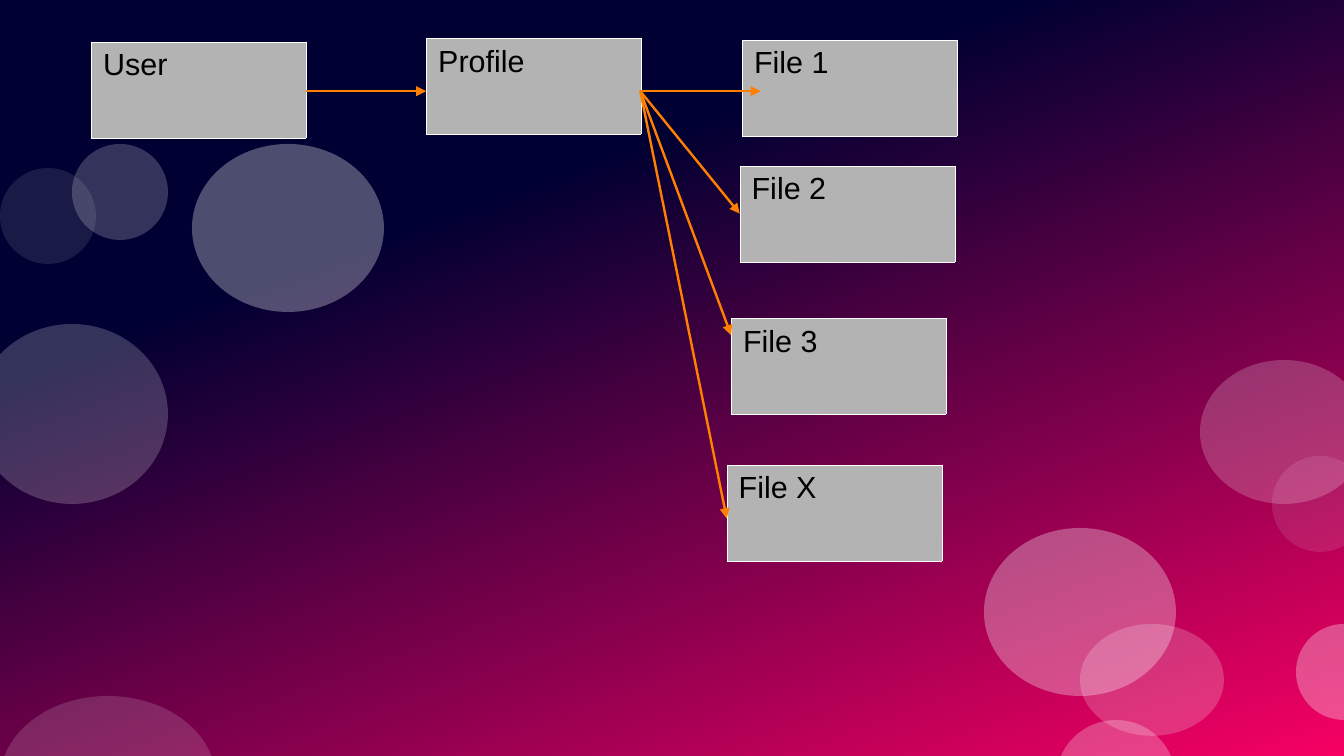
import dataclasses
import typing

import pptx
import pptx.dml.color
import pptx.enum.shapes
import pptx.oxml.ns
import pptx.shapes.autoshape
import pptx.slide
import pptx.util
from lxml import etree

Cm = pptx.util.Cm
Pt = pptx.util.Pt
RGBColor = pptx.dml.color.RGBColor
qn = pptx.oxml.ns.qn
Form = pptx.enum.shapes.MSO_SHAPE

NAVY = RGBColor(0x00, 0x00, 0x32)
PINK = RGBColor(0xF6, 0x00, 0x63)
WHITE = RGBColor(0xFF, 0xFF, 0xFF)
GREY = RGBColor(0xB3, 0xB3, 0xB3)
BLACK = RGBColor(0x00, 0x00, 0x00)
ORANGE = RGBColor(0xFF, 0x80, 0x00)

WIDE, HIGH = 28, 15.75
BOX_W, BOX_H = 4.48, 2
LINE_Y = 1.9
FONT = {"name": "Arial", "size": Pt(18), "bold": False}
PLAIN = {"first_row": False, "horz_banding": False}
INSETS = {
    "margin_left": Cm(0.25),
    "margin_right": Cm(0.25),
    "margin_top": Cm(0.13),
    "margin_bottom": Cm(0.13),
}


@dataclasses.dataclass(frozen=True)
class Bubble:
    left: float
    top: float
    width: float
    height: float
    alpha: int


@dataclasses.dataclass(frozen=True)
class Box:
    text: str
    left: float
    top: float


@dataclasses.dataclass(frozen=True)
class Arrow:
    left: float
    right: float
    end: float


BUBBLES = [
    Bubble(4, 3, 4, 3.5, 30),
    Bubble(20.5, 11, 4, 3.5, 30),
    Bubble(25, 7.5, 3.5, 3, 20),
    Bubble(-0.5, 6.75, 4, 3.75, 20),
    Bubble(1.5, 3, 2, 2, 20),
    Bubble(0, 3.5, 2, 2, 10),
    Bubble(0, 14.5, 4.5, 3.5, 15),
    Bubble(27, 13, 2, 2, 30),
    Bubble(26.5, 9.5, 2, 2, 10),
    Bubble(22.5, 13, 3, 2.33, 20),
    Bubble(22, 15, 2.5, 2.5, 25),
]

BOXES = [
    Box("Profile", 8.88, 0.8),
    Box("User", 1.9, 0.87),
    Box("File 1", 15.46, 0.83),
    Box("File X", 15.14, 9.68),
    Box("File 3", 15.23, 6.63),
    Box("File 2", 15.41, 3.46),
]

FORK = 13.34
ARROWS = [
    Arrow(6.38, 8.88, LINE_Y),
    Arrow(FORK, 15.85, LINE_Y),
    Arrow(FORK, 15.41, 4.45),
    Arrow(FORK, 15.23, 6.98),
    Arrow(FORK, 15.14, 10.8),
]


def set_all(item: typing.Any, values: dict[str, typing.Any]) -> None:
    for name, value in values.items():
        setattr(item, name, value)


def add_form(slide: pptx.slide.Slide, form: Form, left: float, top: float,
             width: float, height: float) -> pptx.shapes.autoshape.Shape:
    shape = slide.shapes.add_shape(form, Cm(left), Cm(top), Cm(width), Cm(height))
    shape.shadow.inherit = False
    shape.line.fill.background()
    return shape


def draw_back(slide: pptx.slide.Slide) -> None:
    fill = add_form(slide, Form.RECTANGLE, 0, 0, WIDE, HIGH).fill
    fill.gradient()
    fill.gradient_angle = 290
    for stop, color, place in zip(fill.gradient_stops, (NAVY, PINK), (0.3, 1)):
        stop.color.rgb = color
        stop.position = place


def draw_bubble(slide: pptx.slide.Slide, bubble: Bubble) -> None:
    shape = add_form(slide, Form.OVAL, bubble.left, bubble.top,
                     bubble.width, bubble.height)
    shape.fill.solid()
    shape.fill.fore_color.rgb = WHITE
    color = shape._element.spPr.find(qn("a:solidFill")).find(qn("a:srgbClr"))
    etree.SubElement(color, qn("a:alpha"), val=str(bubble.alpha * 1000))


def draw_box(slide: pptx.slide.Slide, box: Box) -> None:
    table = slide.shapes.add_table(1, 1, Cm(box.left), Cm(box.top),
                                   Cm(BOX_W), Cm(BOX_H)).table
    set_all(table, PLAIN)
    cell = table.cell(0, 0)
    set_all(cell, INSETS)
    props = cell._tc.get_or_add_tcPr()
    for side in ("lnL", "lnR", "lnT", "lnB"):
        edge = etree.SubElement(props, qn(f"a:{side}"), w=str(Pt(0.06)))
        solid = etree.SubElement(edge, qn("a:solidFill"))
        etree.SubElement(solid, qn("a:srgbClr"), val=str(WHITE))
    cell.fill.solid()
    cell.fill.fore_color.rgb = GREY
    run = cell.text_frame.paragraphs[0].add_run()
    run.text = box.text
    set_all(run.font, FONT)
    run.font.color.rgb = BLACK


def draw_arrow(slide: pptx.slide.Slide, arrow: Arrow) -> None:
    link = slide.shapes.add_connector(
        pptx.enum.shapes.MSO_CONNECTOR.STRAIGHT,
        Cm(arrow.left), Cm(LINE_Y), Cm(arrow.right), Cm(arrow.end))
    link.line.width = Pt(1.42)
    link.line.color.rgb = ORANGE
    etree.SubElement(link.line._get_or_add_ln(), qn("a:tailEnd"), type="triangle")
    etree.SubElement(link._element.spPr, qn("a:effectLst"))


def main() -> None:
    deck = pptx.Presentation()
    set_all(deck, {"slide_width": Cm(WIDE), "slide_height": Cm(HIGH)})
    slide = deck.slides.add_slide(deck.slide_layouts[6])
    draw_back(slide)
    for bubble in BUBBLES:
        draw_bubble(slide, bubble)
    for box in BOXES:
        draw_box(slide, box)
    for arrow in ARROWS:
        draw_arrow(slide, arrow)
    deck.save("out.pptx")


if __name__ == "__main__":
    main()
